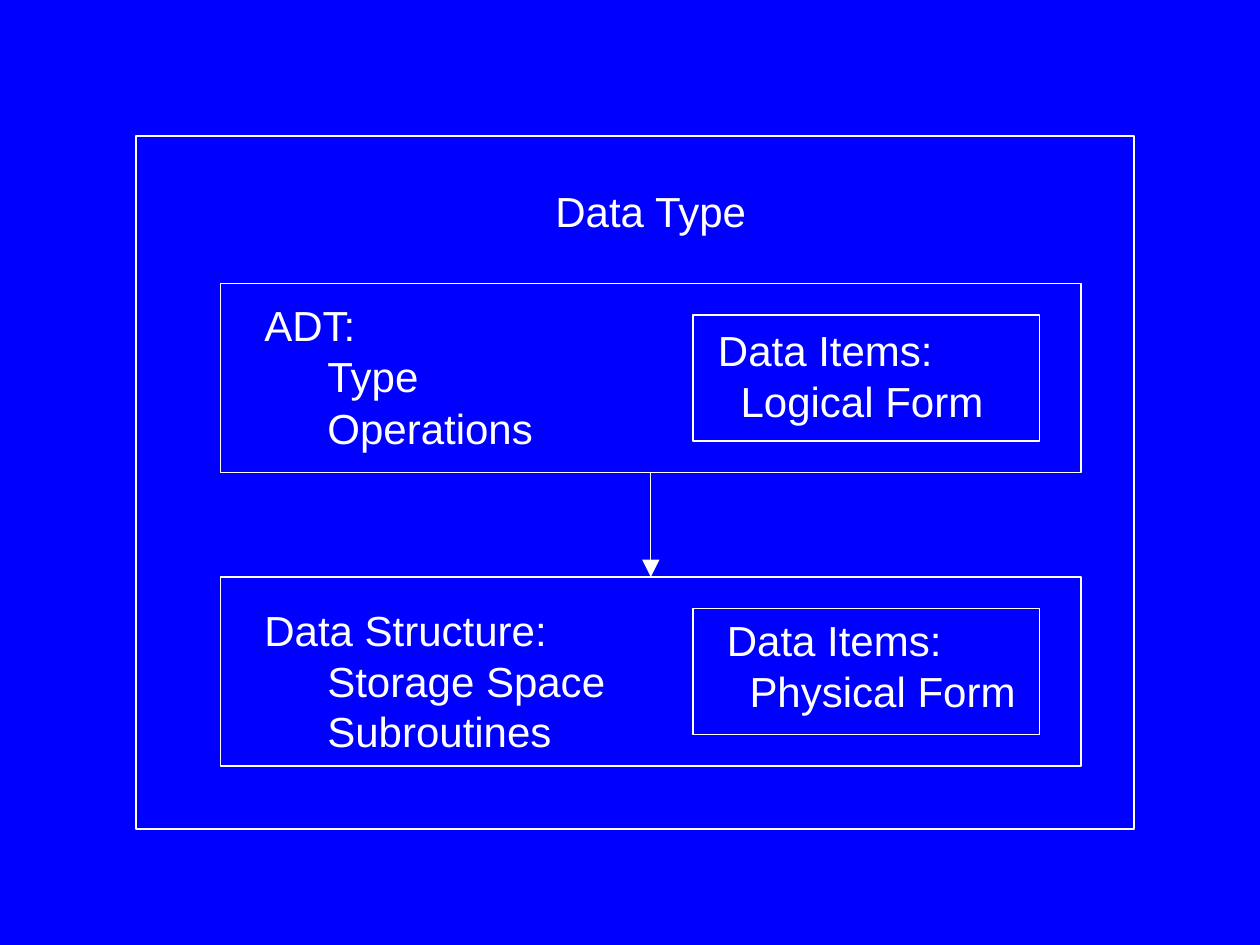
from dataclasses import dataclass

from lxml.etree import SubElement
from pptx import Presentation
from pptx.dml.color import RGBColor
from pptx.enum.shapes import MSO_CONNECTOR, MSO_SHAPE
from pptx.enum.text import MSO_AUTO_SIZE, PP_ALIGN
from pptx.oxml.ns import qn
from pptx.util import Inches, Pt

COLORS = {"background": "0000FF", "ink": "FFFFFF"}
FONT, FONT_SIZE = "Arial", Pt(24)
LINE_WIDTH = Pt(0.75)


@dataclass
class Frame:
    left: float
    top: float
    width: float
    height: float


@dataclass
class Label:
    """A heading with indented lines below it."""
    frame: Frame
    heading: str
    items: tuple[str, ...] = ()
    indent: float = 0.5
    level: int = 0
    line_spacing: float | None = 0.5
    space_before: float = 15
    align: PP_ALIGN = PP_ALIGN.LEFT


DATA_TYPE = Frame(1.08, 1.08, 7.92, 5.5)
ADT = Frame(1.75, 2.25, 6.83, 1.5)
DATA_STRUCTURE = Frame(1.75, 4.58, 6.83, 1.5)
ITEM_FRAMES = [Frame(5.5, outer.top + 0.25, 2.75, 1)
               for outer in (ADT, DATA_STRUCTURE)]

LABELS = [
    Label(Frame(2.83, 1.42, 4.67, 0.5), "Data Type",
          line_spacing=None, align=PP_ALIGN.CENTER),
    Label(Frame(2, 2.5, 2.75, 1.12), "ADT:", ("Type", "Operations"), level=1),
    Label(Frame(5.6, 2.7, 2.74, 0.71), "Data Items:", ("Logical Form",), indent=0.18),
    Label(Frame(5.67, 5, 2.75, 0.71), "Data Items:", ("Physical Form",), indent=0.18),
    Label(Frame(2, 4.75, 3, 1.3), "Data Structure:",
          ("Storage Space", "Subroutines"), level=1,
          line_spacing=None, space_before=0),
]


def rgb(name: str) -> RGBColor:
    return RGBColor.from_string(COLORS[name])


def place(frame: Frame) -> tuple:
    return tuple(Inches(v) for v in (frame.left, frame.top, frame.width, frame.height))


def draw_frame(slide, frame: Frame) -> None:
    sp = slide.shapes.add_shape(MSO_SHAPE.RECTANGLE, *place(frame))
    sp.shadow.inherit = False
    sp.fill.background()
    sp.line.color.rgb = rgb("ink")
    sp.line.width = LINE_WIDTH


def draw_arrow(slide, upper: Frame, lower: Frame) -> None:
    """Point from the bottom middle of one frame to the top middle of the next."""
    x = Inches(upper.left + upper.width / 2)
    line = slide.shapes.add_connector(
        MSO_CONNECTOR.STRAIGHT, x, Inches(upper.top + upper.height), x, Inches(lower.top))
    line.line.color.rgb = rgb("ink")
    line.line.width = LINE_WIDTH
    ln = line._element.spPr.find(qn("a:ln"))
    SubElement(ln, qn("a:tailEnd"), type="triangle", w="lg", len="lg")
    SubElement(line._element.spPr, qn("a:effectLst"))


def draw_label(slide, label: Label) -> None:
    tf = slide.shapes.add_textbox(*place(label.frame)).text_frame
    tf.word_wrap = True
    tf.auto_size = MSO_AUTO_SIZE.SHAPE_TO_FIT_TEXT
    tf.text = "\n".join((label.heading, *label.items))
    for i, p in enumerate(tf.paragraphs):
        p.alignment = label.align
        if label.line_spacing:
            p.line_spacing = label.line_spacing
        if i:
            p.level = label.level
            p.space_before = Pt(label.space_before)
            pPr = p._p.get_or_add_pPr()
            pPr.set("marL", str(Inches(label.indent)))
            pPr.set("indent", "0")
        p.font.name = FONT
        p.font.size = FONT_SIZE
        p.font.color.rgb = rgb("ink")


def main() -> None:
    prs = Presentation()
    prs.slide_width, prs.slide_height = Inches(10), Inches(7.5)
    slide = prs.slides.add_slide(prs.slide_layouts[6])
    fill = slide.background.fill
    fill.solid()
    fill.fore_color.rgb = rgb("background")

    for frame in (DATA_TYPE, ADT, DATA_STRUCTURE, *ITEM_FRAMES):
        draw_frame(slide, frame)
    draw_arrow(slide, ADT, DATA_STRUCTURE)
    for label in LABELS:
        draw_label(slide, label)
    prs.save("out.pptx")


if __name__ == "__main__":
    main()
